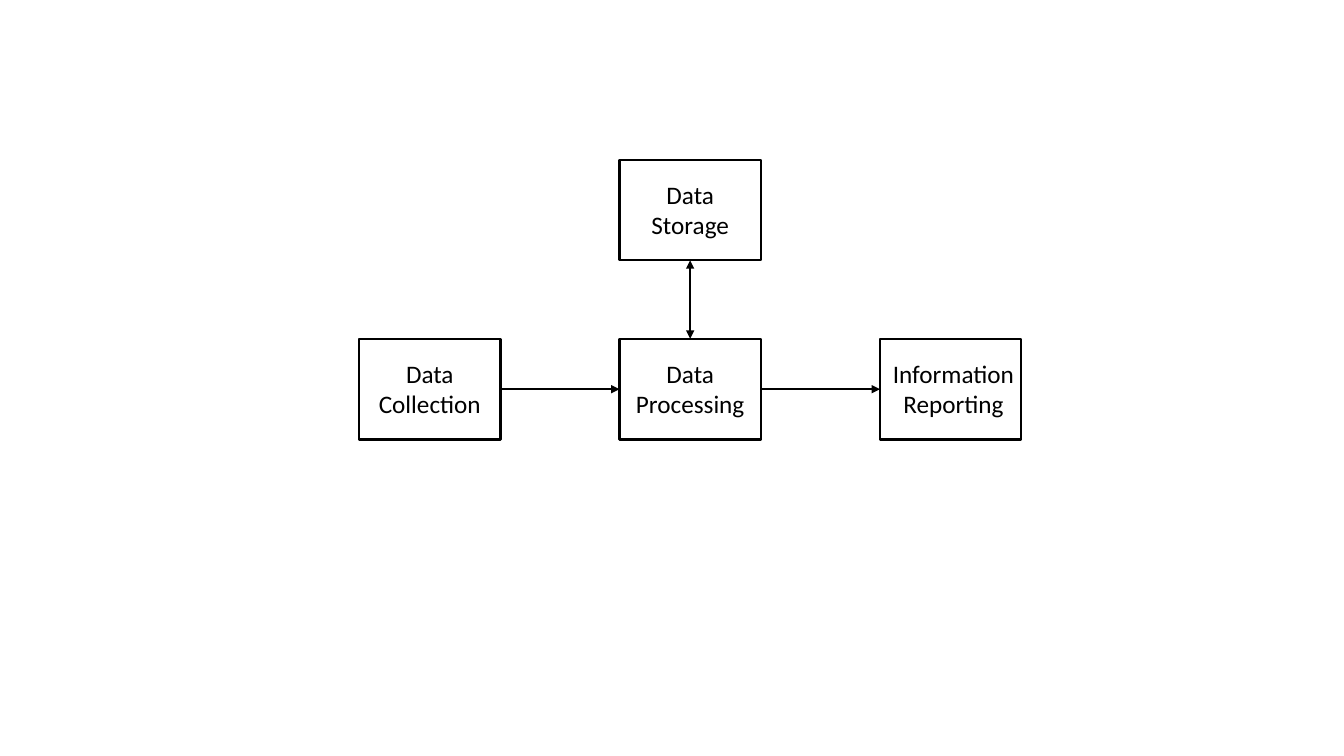
from lxml import etree
from pptx import Presentation
from pptx.dml.color import RGBColor
from pptx.enum import shapes, text
from pptx.oxml.ns import qn
from pptx.util import Pt

COLORS = {"ink": "000000"}
BOX_W, BOX_H = 101, 72
LEFT, COL_STEP = 256.5, 186
STORAGE_TOP, FLOW_TOP = 114, 242
LABEL_H = 51
TOP, LEFT_SIDE, BOTTOM, RIGHT_SIDE = range(4)  # connection sites of a rectangle


def write(tf, content, font="Calibri", size=18, color="ink",
          align=text.PP_ALIGN.CENTER):
    p = tf.paragraphs[0]
    p.text = content
    p.alignment = align
    for r in p.runs:
        r.font.name = font
        r.font.size = Pt(size)
        r.font.color.rgb = RGBColor.from_string(COLORS[color])


class Diagram:
    def __init__(self, s, color="ink", weight=1.5):
        self.s, self.color, self.weight = s, color, weight

    def stroke(self, line):
        line.color.rgb = RGBColor.from_string(COLORS[self.color])
        line.width = Pt(self.weight)

    def box(self, x, y):
        sp = self.s.shapes.add_shape(shapes.MSO_SHAPE.RECTANGLE,
                                     Pt(x), Pt(y), Pt(BOX_W), Pt(BOX_H))
        sp.shadow.inherit = False
        sp.fill.background()
        self.stroke(sp.line)
        return sp

    def label(self, content, x, y, width, shift=0):
        """Centre a label in the box at x, y, moved right by shift."""
        sp = self.s.shapes.add_textbox(
            Pt(x + (BOX_W - width) / 2 + shift), Pt(y + (BOX_H - LABEL_H) / 2),
            Pt(width), Pt(LABEL_H))
        tf = sp.text_frame
        tf.word_wrap = False
        tf.auto_size = text.MSO_AUTO_SIZE.SHAPE_TO_FIT_TEXT
        write(tf, content)

    def arrow(self, start, start_site, end, end_site, ends=("tailEnd",)):
        c = self.s.shapes.add_connector(shapes.MSO_CONNECTOR.STRAIGHT, 0, 0, 0, 0)
        c.begin_connect(start, start_site)
        c.end_connect(end, end_site)
        self.stroke(c.line)
        ln = c.line._get_or_add_ln()
        for end_tag in ends:
            etree.SubElement(ln, qn("a:" + end_tag), type="triangle")
        etree.SubElement(c._element.spPr, qn("a:effectLst"))


prs = Presentation()
prs.slide_width, prs.slide_height = Pt(960), Pt(540)
s = prs.slides.add_slide(prs.slide_layouts[6])
diagram = Diagram(s)

# Boxes: three in a row, storage above the middle one
columns = [LEFT + i * COL_STEP for i in range(3)]
storage = diagram.box(columns[1], STORAGE_TOP)
collection, processing, reporting = [diagram.box(x, FLOW_TOP) for x in columns]

# Arrows between the boxes
diagram.arrow(collection, RIGHT_SIDE, processing, LEFT_SIDE)
diagram.arrow(processing, RIGHT_SIDE, reporting, LEFT_SIDE)
diagram.arrow(storage, BOTTOM, processing, TOP, ends=("headEnd", "tailEnd"))

# Labels
diagram.label("Data\nStorage", columns[1], STORAGE_TOP, 85)
diagram.label("Data\nCollection", columns[0], FLOW_TOP, 93)
diagram.label("Data\nProcessing", columns[1], FLOW_TOP, 93)
diagram.label("Information\nReporting", columns[2], FLOW_TOP, 101.5, shift=2)

prs.save("out.pptx")
